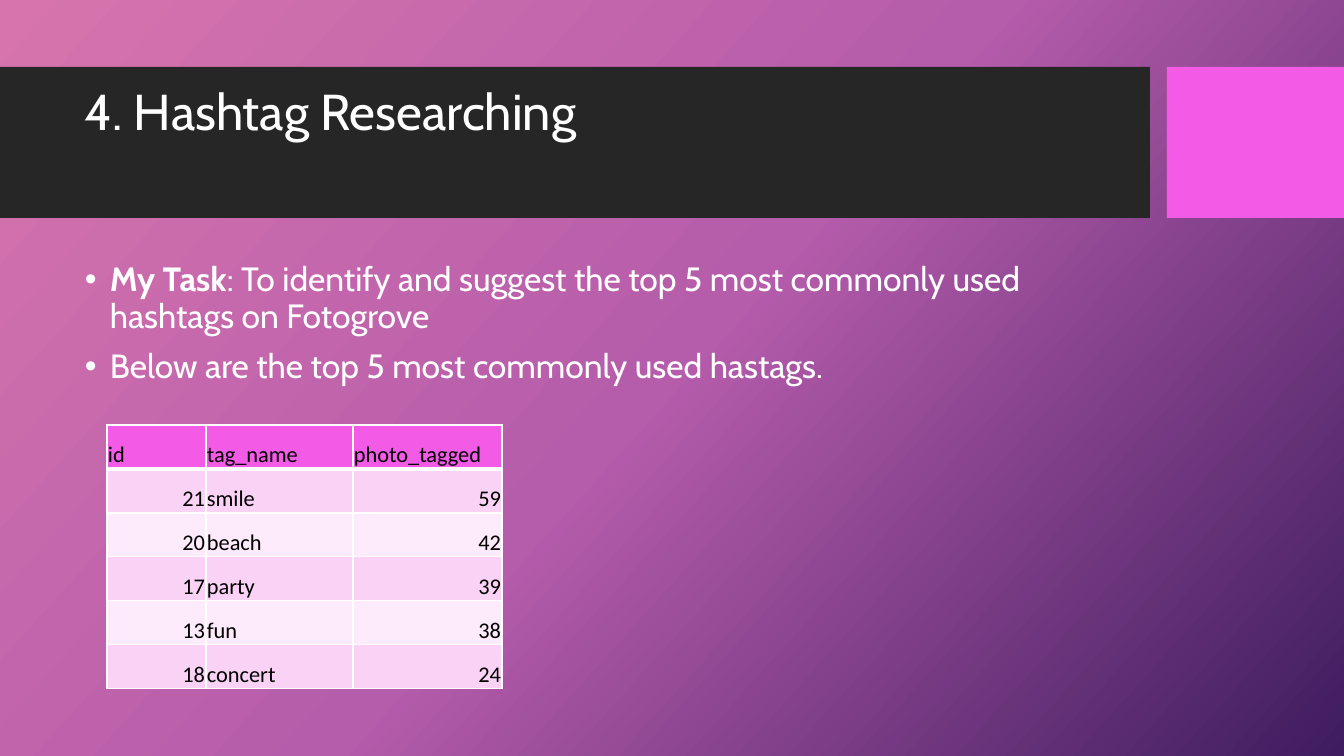
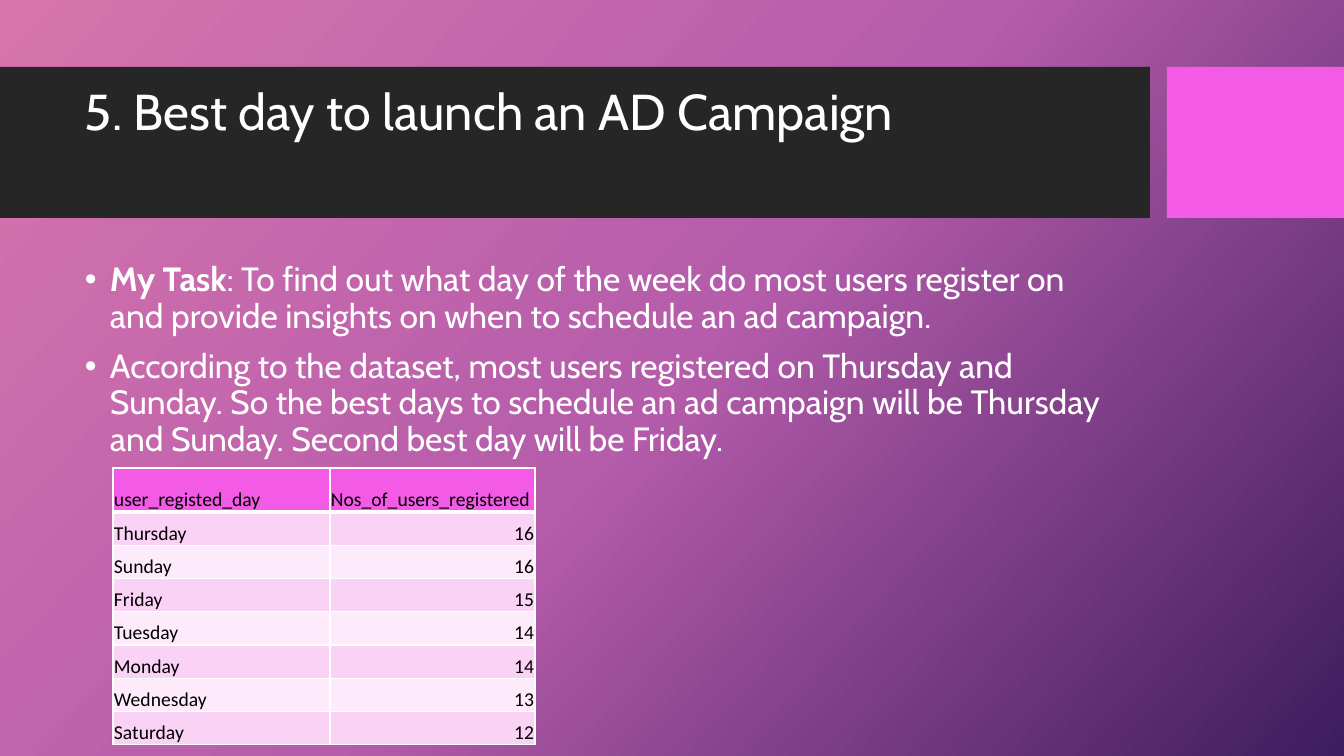
from copy import deepcopy
from dataclasses import dataclass

from lxml.etree import SubElement
from pptx import Presentation
from pptx.dml.color import RGBColor
from pptx.enum.shapes import MSO_SHAPE
from pptx.enum.text import MSO_ANCHOR, PP_ALIGN
from pptx.oxml.ns import qn
from pptx.util import Pt

EMU_PER_PIXEL = 914400 / 100.8
SLIDE_WIDTH, SLIDE_HEIGHT = 1344, 756


@dataclass(frozen=True)
class Theme:
    """Colours, fonts and type sizes of the presentation."""
    white: str = "FFFFFF"
    black: str = "000000"
    band: str = "262626"
    accent: str = "F35AE6"
    row_fills: tuple = ("FDEAFA", "FAD2F5")
    gradient: tuple = ((0, "D774AD"), (0.5, "B55CAB"), (1, "3E1C5F"))
    gradient_angle: int = 42
    font: str = "Cabin"
    table_font: str = "Calibri"
    title_size: int = 36
    body_size: int = 24
    border: int = 1
    header_border: int = 3


def px(pixels):
    """Turn pixels into EMU."""
    return round(pixels * EMU_PER_PIXEL)


def write_text(paragraph, text, *, font, size, color, bold=False):
    """Add a formatted run to a paragraph."""
    run = paragraph.add_run()
    run.text = text
    run.font.name = font
    run.font.size = Pt(size)
    run.font.bold = bold
    run.font.color.rgb = RGBColor.from_string(color)


def add_bullet(paragraph, indent):
    """Give a paragraph a hanging round bullet."""
    properties = paragraph._p.get_or_add_pPr()
    properties.set("marL", str(px(indent)))
    properties.set("indent", str(-px(indent)))
    SubElement(properties, qn("a:buFont"), typeface="Arial")
    SubElement(properties, qn("a:buChar"), char="•")


def set_borders(cell, color, widths):
    """Draw the left, right, top and bottom borders of a cell."""
    properties = cell._tc.get_or_add_tcPr()
    for index, (side, width) in enumerate(zip("LRTB", widths)):
        line = SubElement(properties, qn(f"a:ln{side}"), w=str(Pt(width)))
        fill = SubElement(line, qn("a:solidFill"))
        SubElement(fill, qn("a:srgbClr"), val=color)
        properties.insert(index, line)


class SlideBuilder:
    """Draws elements on the current slide in one style."""

    def __init__(self, presentation, theme):
        """Keep the presentation and its theme."""
        self.presentation = presentation
        self.theme = theme
        self.slide = None

    def start_slide(self, title):
        """Add a slide with background, bands and title."""
        self.slide = self.presentation.slides.add_slide(
            self.presentation.slide_layouts[6])
        self.background()
        self.rectangle(0, 67, 1150, 151, self.theme.band)
        self.rectangle(1167, 67, 177, 151, self.theme.accent)
        self.title(title)

    def background(self):
        """Fill the slide with the three-colour gradient."""
        fill = self.slide.background.fill
        fill.gradient()
        fill.gradient_angle = 360 - self.theme.gradient_angle
        stop_list = self.slide.element.find(".//" + qn("a:gsLst"))
        stop_list.append(deepcopy(stop_list[-1]))
        for stop, (position, color) in zip(fill.gradient_stops, self.theme.gradient):
            stop.position = position
            stop.color.rgb = RGBColor.from_string(color)

    def rectangle(self, left, top, width, height, color):
        """Draw a plain filled rectangle."""
        shape = self.slide.shapes.add_shape(
            MSO_SHAPE.RECTANGLE, px(left), px(top), px(width), px(height))
        shape.shadow.inherit = False
        shape.fill.solid()
        shape.fill.fore_color.rgb = RGBColor.from_string(color)
        shape.line.fill.background()

    def text_frame(self, left, top, width, height, anchor):
        """Add a wrapping text box and return its frame."""
        box = self.slide.shapes.add_textbox(px(left), px(top), px(width), px(height))
        box.text_frame.word_wrap = True
        box.text_frame.vertical_anchor = anchor
        return box.text_frame

    def title(self, text):
        """Write the slide title in the dark band."""
        frame = self.text_frame(75, 83, 1059, 63, MSO_ANCHOR.MIDDLE)
        paragraph = frame.paragraphs[0]
        paragraph.line_spacing = 0.9
        write_text(paragraph, text, font=self.theme.font,
                   size=self.theme.title_size, color=self.theme.white)

    def bullets(self, items):
        """Write bullets, each a list of (text, bold) runs."""
        frame = self.text_frame(75, 258, 1059, 397, MSO_ANCHOR.TOP)
        for index, runs in enumerate(items):
            paragraph = frame.add_paragraph() if index else frame.paragraphs[0]
            paragraph.line_spacing = 0.9
            paragraph.space_before = Pt(10)
            add_bullet(paragraph, 25)
            for text, bold in runs:
                write_text(paragraph, text, font=self.theme.font, bold=bold,
                           size=self.theme.body_size, color=self.theme.white)

    def table(self, left, top, height, column_widths, rows, size, header_height=44):
        """Draw a banded table whose body rows share the height left."""
        table = self.slide.shapes.add_table(
            len(rows), len(column_widths), px(left), px(top),
            px(sum(column_widths)), px(height)).table
        for column, width in zip(table.columns, column_widths):
            column.width = px(width)
        body_height = (height - header_height) / (len(rows) - 1)
        for row_index, values in enumerate(rows):
            table.rows[row_index].height = px(body_height if row_index else header_height)
            for column_index, value in enumerate(values):
                self.cell(table.cell(row_index, column_index), value, row_index, size)

    def cell(self, cell, value, row_index, size):
        """Fill one table cell; numbers go to the right."""
        theme = self.theme
        color = theme.row_fills[row_index % 2] if row_index else theme.accent
        cell.fill.solid()
        cell.fill.fore_color.rgb = RGBColor.from_string(color)
        cell.margin_left = cell.margin_right = cell.margin_top = px(1)
        cell.margin_bottom = 0
        cell.vertical_anchor = MSO_ANCHOR.BOTTOM
        paragraph = cell.text_frame.paragraphs[0]
        paragraph.alignment = PP_ALIGN.RIGHT if isinstance(value, int) else PP_ALIGN.LEFT
        write_text(paragraph, str(value), font=theme.table_font, size=size,
                   color=theme.black)
        above = theme.header_border if row_index == 1 else theme.border
        below = theme.header_border if row_index == 0 else theme.border
        set_borders(cell, theme.white, (theme.border, theme.border, above, below))


def build_hashtags(builder):
    """Build the slide on the most used hashtags."""
    builder.start_slide("4. Hashtag Researching")
    builder.bullets([
        [("My Task", True),
         (": To identify and suggest the top 5 most commonly used hashtags "
          "on Fotogrove", False)],
        [("Below are the top 5 most commonly used hastags.", False)],
    ])
    builder.table(107, 425, 264, (99, 147, 149), [
        ("id", "tag_name", "photo_tagged"),
        (21, "smile", 59),
        (20, "beach", 42),
        (17, "party", 39),
        (13, "fun", 38),
        (18, "concert", 24),
    ], size=16)


def build_campaign(builder):
    """Build the slide on the best day for a campaign."""
    builder.start_slide("5. Best day to launch an AD Campaign")
    builder.bullets([
        [("My Task", True),
         (": To find out what day of the week do most users register on and "
          "provide insights on when to schedule an ad campaign.", False)],
        [("According to the dataset, most users registered on Thursday and "
          "Sunday. So the best days to schedule an ad campaign will be Thursday "
          "and Sunday. Second best day will be Friday.", False)],
    ])
    builder.table(113, 468, 277, (217, 205), [
        ("user_registed_day", "Nos_of_users_registered"),
        ("Thursday", 16),
        ("Sunday", 16),
        ("Friday", 15),
        ("Tuesday", 14),
        ("Monday", 14),
        ("Wednesday", 13),
        ("Saturday", 12),
    ], size=14)


def main():
    """Build and save the presentation."""
    presentation = Presentation()
    presentation.slide_width = px(SLIDE_WIDTH)
    presentation.slide_height = px(SLIDE_HEIGHT)
    builder = SlideBuilder(presentation, Theme())
    build_hashtags(builder)
    build_campaign(builder)
    presentation.save("out.pptx")


main()
